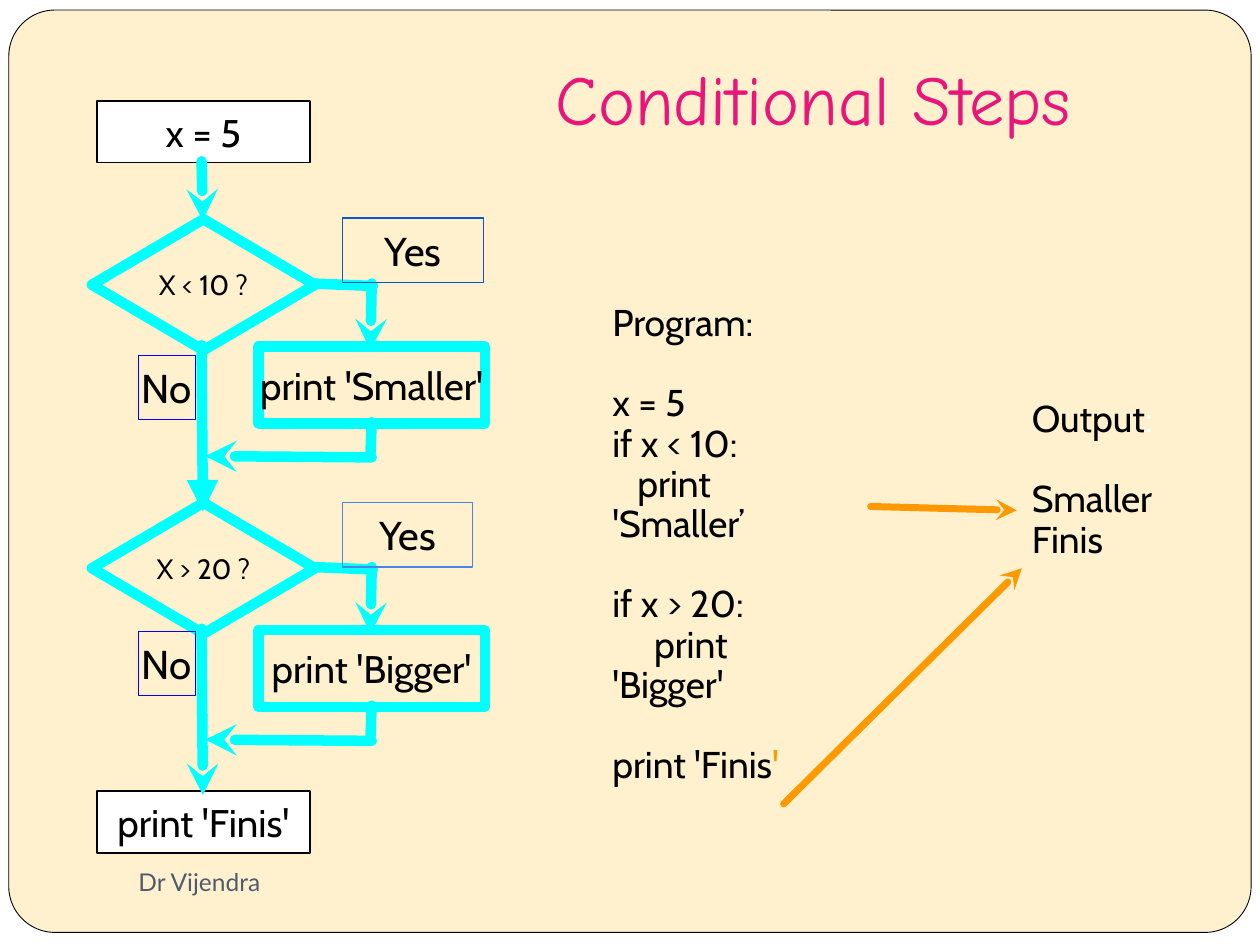
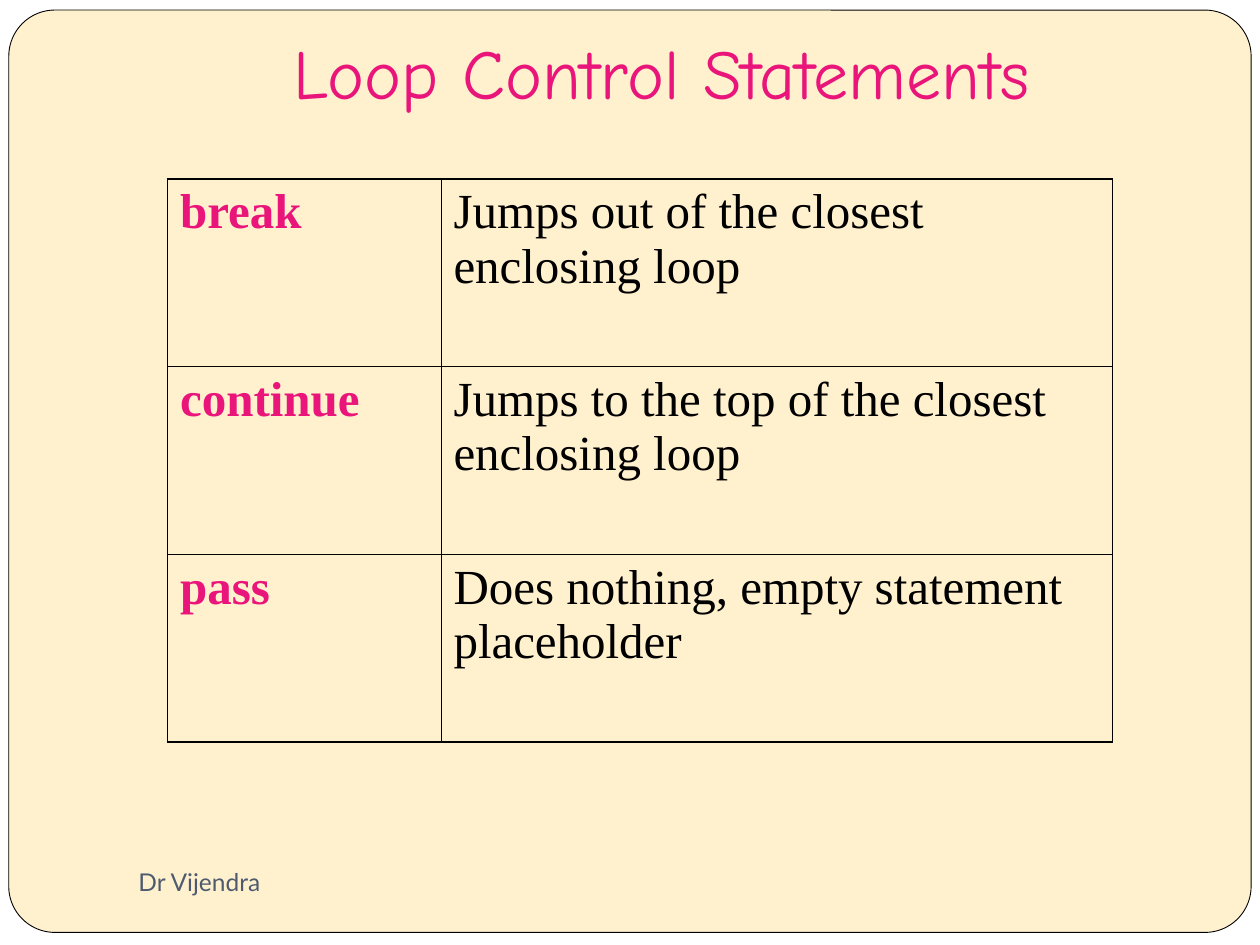
from lxml.etree import SubElement
from pptx import Presentation
from pptx.dml.color import RGBColor
from pptx.enum.shapes import MSO_CONNECTOR, MSO_SHAPE
from pptx.enum.text import MSO_ANCHOR, MSO_AUTO_SIZE, PP_ALIGN
from pptx.oxml.ns import qn
from pptx.util import Pt

EMU_PER_PX = 9144  # 100 px to the inch

BLACK, WHITE, CREAM = "000000", "FFFFFF", "FFF1CE"
PINK, CYAN, ORANGE, SLATE = "EA157A", "00FFFF", "FF9900", "4E5B6F"
TITLE_FONT, CODE_FONT = "Comic Neue", "Cabin"
FOOTER_FONT, TABLE_FONT = "Lato", "Times New Roman"
CODE_SIZE, CODE_LINE = 21.3, 23
BRANCH_STEP = 225


def px(length):
    return round(length * EMU_PER_PX)


def rgb(color):
    return RGBColor.from_string(color)


class Deck:
    """Holds the shared style and the slide being drawn."""

    def __init__(self):
        self.presentation = Presentation()
        self.presentation.slide_width = px(1000)
        self.presentation.slide_height = px(750)
        self.slide = None

    def start_slide(self, title, box, anchor, margins):
        layout = self.presentation.slide_layouts[5]
        self.slide = self.presentation.slides.add_slide(layout)
        background = self.slide.background.fill
        background.solid()
        background.fore_color.rgb = rgb(WHITE)

        panel = self.shape(MSO_SHAPE.ROUNDED_RECTANGLE, (7, 8, 986, 732),
                           fill=CREAM, line=BLACK, weight=0.5)
        panel.adjustments[0] = 0.05
        heading = self.slide.shapes.title
        heading.element.addprevious(panel.element)
        heading.left, heading.top, heading.width, heading.height = map(px, box)
        heading.text_frame.text = title
        self.frame(heading.text_frame, anchor, margins)
        self.style(heading.text_frame.paragraphs[0], TITLE_FONT, 40, PINK,
                   PP_ALIGN.CENTER)
        self.text(["Dr Vijendra"], (100, 675, 433, 50), FOOTER_FONT, 14, SLATE,
                  margins=(10, 5, 10, 5))

    def frame(self, text_frame, anchor=MSO_ANCHOR.MIDDLE, margins=(0, 0, 0, 0),
              wrap=True):
        text_frame.word_wrap = wrap
        text_frame.auto_size = MSO_AUTO_SIZE.NONE
        text_frame.vertical_anchor = anchor
        (text_frame.margin_left, text_frame.margin_top,
         text_frame.margin_right, text_frame.margin_bottom) = map(px, margins)

    def style(self, paragraph, font, size, color, align=PP_ALIGN.LEFT, bold=False):
        paragraph.alignment = align
        for run in paragraph.runs:
            run.font.name = font
            run.font.size = Pt(size)
            run.font.bold = bold
            run.font.color.rgb = rgb(color)

    def round_line(self, line, color, weight):
        line.color.rgb = rgb(color)
        line.width = Pt(weight)
        outline = line.fill._xPr
        outline.set("cap", "rnd")
        SubElement(outline, qn("a:round"))
        return outline

    def shape(self, kind, box, text="", size=22, fill=None, line=BLACK, weight=1):
        shape = self.slide.shapes.add_shape(kind, *map(px, box))
        shape.shadow.inherit = False
        if fill:
            shape.fill.solid()
            shape.fill.fore_color.rgb = rgb(fill)
        else:
            shape.fill.background()
        if weight > 1:
            self.round_line(shape.line, line, weight)
        else:
            shape.line.color.rgb = rgb(line)
            shape.line.width = Pt(weight)
        if text:
            shape.text_frame.text = text
            self.frame(shape.text_frame, wrap=False)
            self.style(shape.text_frame.paragraphs[0], CODE_FONT, size, BLACK,
                       PP_ALIGN.CENTER)
        return shape

    def text(self, lines, box, font, size, color, margins=(0, 0, 0, 0)):
        """Add a text box and return its paragraphs."""
        text_frame = self.slide.shapes.add_textbox(*map(px, box)).text_frame
        text_frame.text = "\n".join(lines)
        self.frame(text_frame, margins=margins)
        for paragraph in text_frame.paragraphs:
            self.style(paragraph, font, size, color)
        return text_frame.paragraphs

    def code(self, blocks, box, last_sign):
        """Add blocks of code a line apart; last_sign is (block, sign, color)."""
        lines = [line for block in blocks for line in block]
        paragraphs = iter(self.text(lines, box, CODE_FONT, CODE_SIZE, BLACK))
        signed_block, sign, color = last_sign
        for number, block in enumerate(blocks):
            for position in range(len(block)):
                paragraph = next(paragraphs)
                paragraph.line_spacing = 0.9
                if number and position == 0:
                    paragraph.space_before = Pt(CODE_LINE)
            if number == signed_block:
                run = paragraph.add_run()
                run.text = sign
                run.font.name = CODE_FONT
                run.font.size = Pt(CODE_SIZE)
                run.font.color.rgb = rgb(color)

    def line(self, start, end, color=CYAN, weight=6, arrow=None):
        connector = self.slide.shapes.add_connector(
            MSO_CONNECTOR.STRAIGHT, *map(px, start + end))
        outline = self.round_line(connector.line, color, weight)
        if arrow:
            SubElement(outline, qn("a:tailEnd"), type=arrow)
        SubElement(connector.element.spPr, qn("a:effectLst"))

    def table(self, rows, left, top, column_widths, row_height):
        table = self.slide.shapes.add_table(
            len(rows), len(column_widths), px(left), px(top),
            px(sum(column_widths)), px(row_height * len(rows))).table
        table.first_row = table.horz_banding = False
        for column, width in zip(table.columns, column_widths):
            column.width = px(width)
        last_row, last_column = len(rows) - 1, len(column_widths) - 1
        for row, values in enumerate(rows):
            for column, value in enumerate(values):
                cell = table.cell(row, column)
                cell.text = value
                self.style(cell.text_frame.paragraphs[0], TABLE_FONT, 28,
                           BLACK if column else PINK, bold=column == 0)
                self.borders(cell, {"L": column == 0, "R": column == last_column,
                                    "T": row == 0, "B": row == last_row})
                cell.fill.background()

    def borders(self, cell, outer_sides):
        properties = cell._tc.get_or_add_tcPr()
        for side, outer in outer_sides.items():
            border = SubElement(properties, qn(f"a:ln{side}"),
                                w=str(Pt(1.08 if outer else 0.45)))
            fill = SubElement(border, qn("a:solidFill"))
            SubElement(fill, qn("a:srgbClr"), val=BLACK)


def draw_branch(deck, top, question, action, exit_arrow):
    """Draw one decision with its action and the way back to the main line."""
    deck.shape(MSO_SHAPE.DIAMOND, (73, top, 177, 104), question, 16,
               line=CYAN, weight=6)
    deck.line((160, top + 100), (161, top + 232), arrow=exit_arrow)
    deck.shape(MSO_SHAPE.RECTANGLE, (205, top + 101, 180, 61), action,
               line=CYAN, weight=6)
    deck.line((248, top + 51), (296, top + 53))
    deck.line((295, top + 51), (294, top + 104), arrow="stealth")
    deck.line((295, top + 161), (294, top + 187))
    deck.line((295, top + 189), (163, top + 188), arrow="stealth")


def conditional_steps(deck):
    deck.start_slide("Conditional Steps", (362, 20, 566, 114),
                     MSO_ANCHOR.MIDDLE, (3, 3, 3, 3))
    deck.code([["Output"], ["Smaller", "Finis"]], (819, 292, 97, 179),
              (0, ":", WHITE))
    deck.code([["Program:"],
               ["x = 5", "if x < 10:", "   print 'Smaller’"],
               ["if x > 20:", "     print 'Bigger'"],
               ["print 'Finis"]], (486, 206, 185, 454), (3, "'", ORANGE))

    for top, step in ((80, "x = 5"), (628, "print 'Finis'")):
        deck.shape(MSO_SHAPE.RECTANGLE, (77, top, 169, 49), step, fill=WHITE)
    deck.line((160, 128), (161, 175), arrow="stealth")
    branches = (("X < 10 ?", "print 'Smaller'", "triangle"),
                ("X > 20 ?", "print 'Bigger'", "stealth"))
    for number, branch in enumerate(branches):
        draw_branch(deck, 174 + number * BRANCH_STEP, *branch)

    answers = (("Yes", (272, 173, 112, 51), "1155CC"),
               ("Yes", (272, 399, 103, 51), "4A86E8"),
               ("No", (110, 282, 45, 51), "0000FF"),
               ("No", (110, 501, 45, 51), "0000FF"))
    for answer, box, color in answers:
        deck.shape(MSO_SHAPE.RECTANGLE, box, answer, 23, line=color, weight=0.75)
    for start, end in (((691, 402), (807, 405)), ((622, 638), (811, 451))):
        deck.line(start, end, ORANGE, 4, "stealth")


def loop_control(deck):
    deck.start_slide("Loop Control Statements", (100, 30, 850, 70),
                     MSO_ANCHOR.BOTTOM, (10, 5, 10, 10))
    deck.table([("break", "Jumps out of the closest enclosing loop"),
                ("continue", "Jumps to the top of the closest enclosing loop"),
                ("pass", "Does nothing, empty statement placeholder")],
               133, 142, (217, 533), 149)


def main():
    deck = Deck()
    conditional_steps(deck)
    loop_control(deck)
    deck.presentation.save("out.pptx")


if __name__ == "__main__":
    main()
